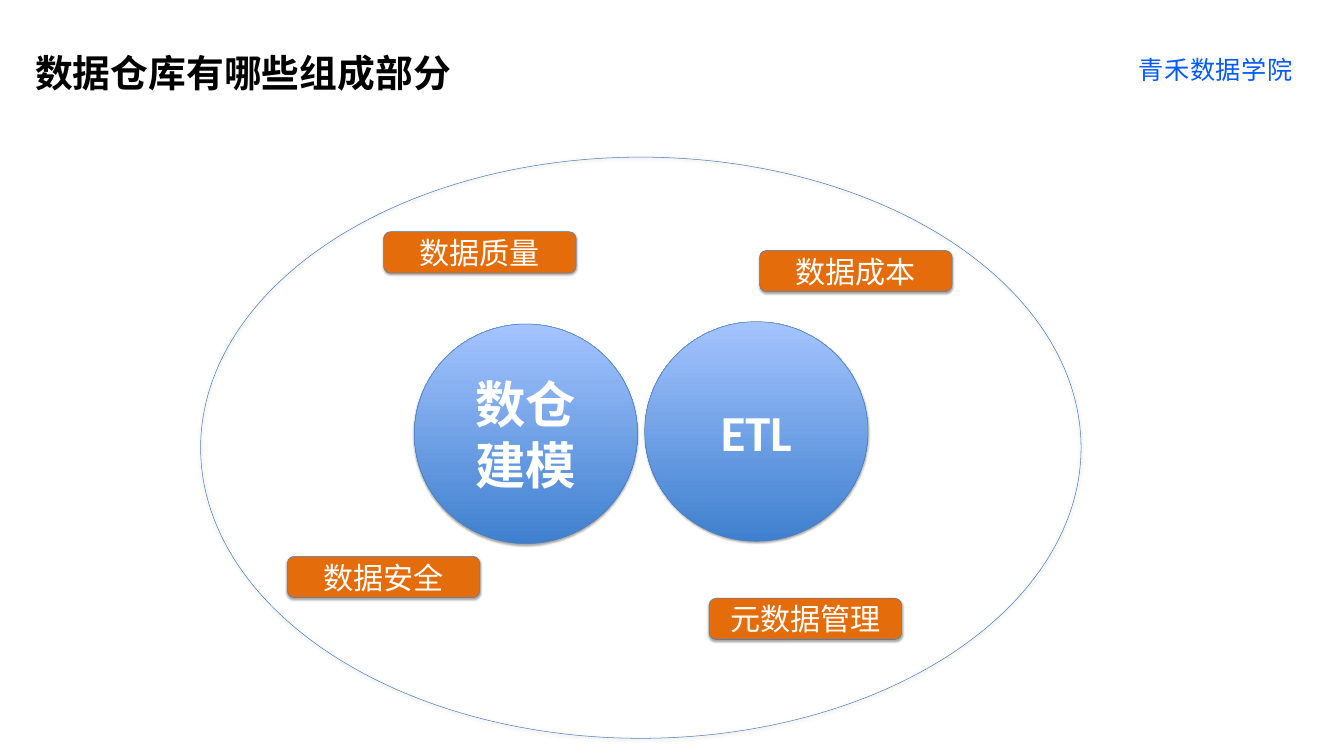
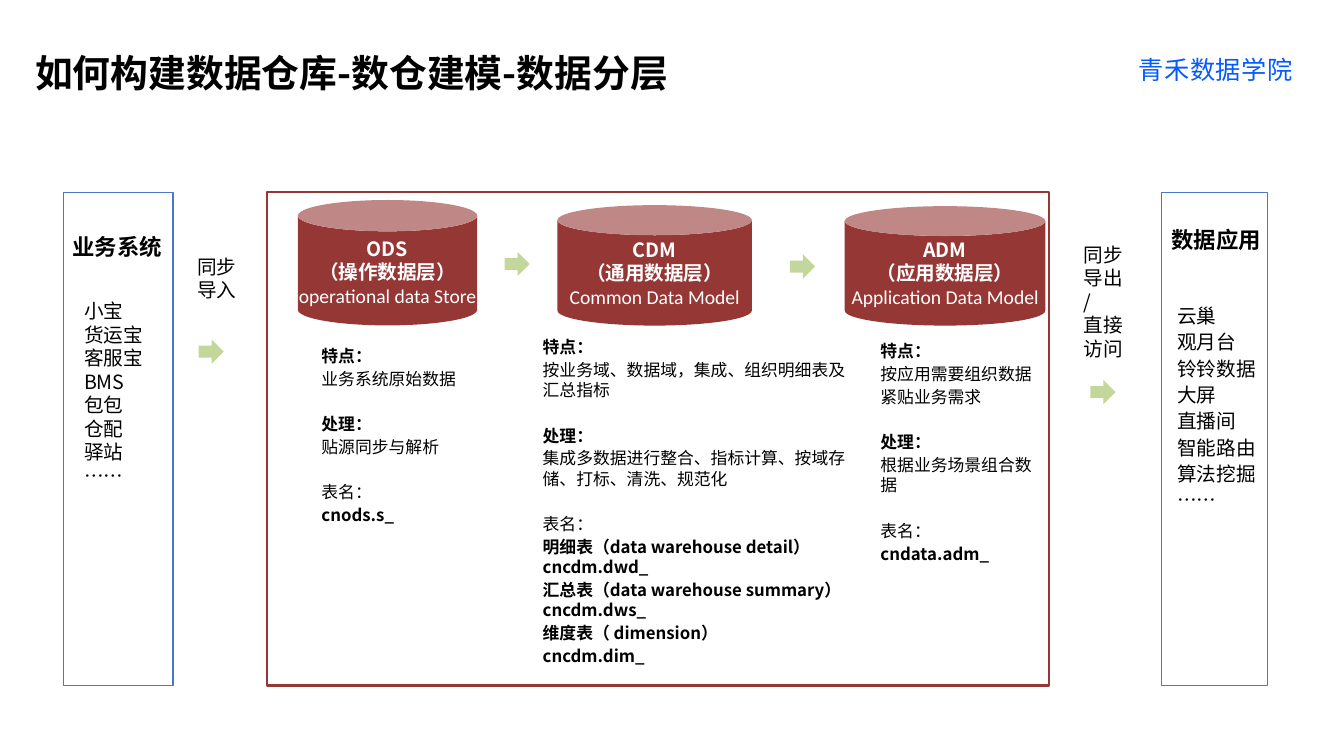
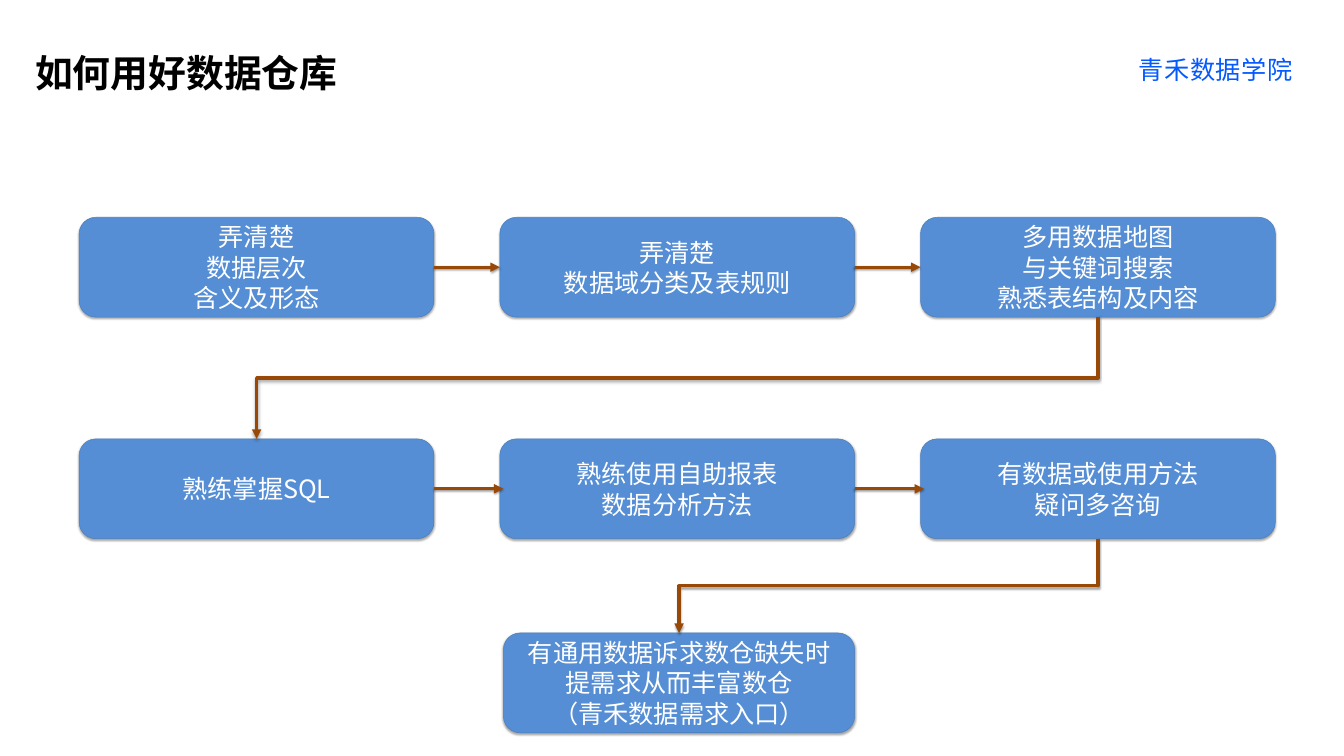
from lxml import etree
from pptx import Presentation
from pptx.dml.color import RGBColor
from pptx.enum.shapes import MSO_CONNECTOR, MSO_SHAPE
from pptx.enum.text import MSO_ANCHOR, PP_ALIGN
from pptx.oxml.ns import qn
from pptx.util import Cm, Pt

OVAL, ROUND, RECT = MSO_SHAPE.OVAL, MSO_SHAPE.ROUNDED_RECTANGLE, MSO_SHAPE.RECTANGLE
CAN, ARROW = MSO_SHAPE.CAN, MSO_SHAPE.UP_ARROW
STRAIGHT, ELBOW = MSO_CONNECTOR.STRAIGHT, MSO_CONNECTOR.ELBOW
TOP, MIDDLE, BOTTOM = MSO_ANCHOR.TOP, MSO_ANCHOR.MIDDLE, MSO_ANCHOR.BOTTOM
LEFT, CENTER = PP_ALIGN.LEFT, PP_ALIGN.CENTER

BLACK = RGBColor(0x00, 0x00, 0x00)
WHITE = RGBColor(0xFF, 0xFF, 0xFF)
BRAND = RGBColor(0x04, 0x59, 0xFF)
EDGE = RGBColor(0x4B, 0x7E, 0xBC)
SIDE = RGBColor(0x4B, 0x77, 0xCA)
DEEP = RGBColor(0x3F, 0x80, 0xCE)
PALE = RGBColor(0xA4, 0xC4, 0xFF)
STEP = RGBColor(0x55, 0x8E, 0xD5)
ORANGE = RGBColor(0xE4, 0x6C, 0x0A)
BROWN = RGBColor(0x98, 0x48, 0x07)
RED = RGBColor(0x95, 0x37, 0x35)
GREEN = RGBColor(0xC3, 0xD6, 0x9B)

SANS, LATIN = "Noto Sans CJK SC", "Calibri"
INSET = {"margin_left": 0.25, "margin_right": 0.25, "margin_top": 0.13, "margin_bottom": 0.13}
SECTION = {"bold": True, "before": 34}
PLAIN = {"bold": False}
STRONG = {"bold": True}

TAGS = [("数据质量", 9.22, 3.76), ("数据成本", 28.17, 4.7),
        ("数据安全", 4.37, 20.12), ("元数据管理", 25.63, 22.23)]
CORES = [("数仓建模", 10.77, 8.41), ("ETL", 22.38, 8.29)]

LAYERS = [
    (("ODS", "（操作数据层）", "operational data Store"), (1.55, 0.4, 9.04, 6.32),
     (2.49, 7.59, 7.47, 9.45),
     [("特点：", STRONG), ("业务系统原始数据", PLAIN),
      ("处理：", SECTION), ("贴源同步与解析", PLAIN),
      ("表名：", {"before": 34}), ("cnods.s_", STRONG)]),
    (("CDM", "（通用数据层）", "Common Data Model"), (14.63, 0.66, 9.8, 6.07),
     (13.64, 7.16, 15.98, 17.07),
     [("特点：", STRONG), ("按业务域、数据域，集成、组织明细表及汇总指标", PLAIN),
      ("处理：", SECTION), ("集成多数据进行整合、指标计算、按域存储、打标、清洗、规范化", PLAIN),
      ("表名：", {"before": 34}),
      ("明细表（data warehouse detail）cncdm.dwd_", STRONG),
      ("汇总表（data warehouse summary）cncdm.dws_", STRONG),
      ("维度表（ dimension）", STRONG), ("cncdm.dim_", STRONG)]),
    (("ADM", "（应用数据层）", "Application Data Model"), (29.11, 0.71, 10.11, 6.02),
     (30.66, 7.36, 8.74, 11.66),
     [("特点：", STRONG), ("按应用需要组织数据", PLAIN), ("紧贴业务需求", PLAIN),
      ("处理：", SECTION), ("根据业务场景组合数据", PLAIN),
      ("表名：", {"before": 34}), ("cndata.adm_", STRONG)]),
]
SOURCES = ["小宝", "货运宝", "客服宝", "BMS", "包包", "仓配", "驿站", "……"]
USES = ["云巢", "观月台", "铃铃数据", "大屏", "直播间", "智能路由", "算法挖掘", "……"]

STEPS = [
    [["弄清楚", "数据层次", "含义及形态"], ["弄清楚", "数据域分类及表规则"],
     ["多用数据地图", "与关键词搜索", "熟悉表结构及内容"]],
    [["熟练掌握SQL"], ["熟练使用自助报表", "数据分析方法"],
     ["有数据或使用方法", "疑问多咨询"]],
]
LAST = ["有通用数据诉求数仓缺失时", "提需求从而丰富数仓", "（青禾数据需求入口）"]


def place(box, part):
    """Move a part, given relative to a box, onto the slide."""
    return box[0] + part[0], box[1] + part[1], part[2], part[3]


def write(frame, lines, size, color=BLACK, face=SANS, bold=False, align=LEFT,
          gap=0, anchor=TOP, wrap=True, inset=INSET):
    """Fill a text frame with one paragraph per line."""
    frame.word_wrap, frame.vertical_anchor = wrap, anchor
    for name, value in inset.items():
        setattr(frame, name, Cm(value))
    for i, line in enumerate(lines):
        text, extra = (line, {}) if isinstance(line, str) else line
        para = frame.paragraphs[0] if i == 0 else frame.add_paragraph()
        layout = {"alignment": align, "line_spacing": Pt(1.2 * size),
                  "space_before": Pt(extra.get("before", gap)), "space_after": Pt(gap)}
        for name, value in layout.items():
            setattr(para, name, value)
        run = para.add_run()
        run.text = text
        look = {"size": Pt(size), "bold": extra.get("bold", bold),
                "name": extra.get("face", face)}
        for name, value in look.items():
            setattr(run.font, name, value)
        run.font.color.rgb = color
        etree.SubElement(run.font._element, qn("a:ea")).set("typeface", SANS)


def label(slide, box, lines, size, **style):
    """Add a text box."""
    shape = slide.shapes.add_textbox(*map(Cm, box))
    write(shape.text_frame, lines, size, **style)
    return shape


def shade(effects, alpha, dist):
    """Put a soft drop shadow in an effect list."""
    drop = etree.SubElement(effects, qn("a:outerShdw"), blurRad=str(Pt(3.1)),
                            dist=str(Pt(dist)), dir="5400000", rotWithShape="0")
    tone = etree.SubElement(drop, qn("a:srgbClr"), val="000000")
    etree.SubElement(tone, qn("a:alpha"), val=str(alpha * 1000))


def draw(slide, kind, box, fill=None, line=None, width=0.75, shadow=False):
    """Add a preset shape with a plain, graded or empty fill."""
    shape = slide.shapes.add_shape(kind, *map(Cm, box))
    shape.shadow.inherit = False
    if isinstance(fill, list):
        shape.fill.gradient()
        shape.fill.gradient_angle = 90
        for stop, color in zip(shape.fill.gradient_stops, fill):
            stop.color.rgb = color
    elif fill is None:
        shape.fill.background()
    else:
        shape.fill.solid()
        shape.fill.fore_color.rgb = fill
    if line is None:
        shape.line.fill.background()
    else:
        shape.line.color.rgb, shape.line.width = line, Pt(width)
    if shadow:
        shade(shape.element.spPr.find(qn("a:effectLst")), 35, 1.8)
    return shape


def link(slide, x1, y1, x2, y2):
    """Add an arrow: straight along a row, bent between rows."""
    kind, bent = STRAIGHT, y1 != y2
    if bent:
        kind, mx, my = ELBOW, (x1 + x2) / 2, (y1 + y2) / 2
        dx, dy = abs(x2 - x1) / 2, (y2 - y1) / 2
        x1, y1, x2, y2 = mx - dy, my - dx, mx + dy, my + dx
    line = slide.shapes.add_connector(kind, *map(Cm, (x1, y1, x2, y2)))
    line.line.color.rgb, line.line.width = BROWN, Pt(4.5)
    props = line.element.spPr
    if bent:
        props.find(qn("a:xfrm")).set("rot", "5400000")
    etree.SubElement(props.find(qn("a:ln")), qn("a:tailEnd"), type="triangle")
    shade(etree.SubElement(props, qn("a:effectLst")), 38, 1.6)


def start(deck, title, width):
    """Add a slide with the shared brand line and title."""
    slide = deck.slides.add_slide(deck.slide_layouts[6])
    brand = label(slide, (57.23, 2.46, 8.13, 2.08), ["青禾数据学院"], 36, color=BRAND,
                  anchor=MIDDLE, wrap=False, inset=dict.fromkeys(INSET, 0.15))
    brand.text_frame.paragraphs[0].runs[0].font._element.set("spc", "80")
    label(slide, (1.52, 2.39, width, 2.57), [title], 54, bold=True)
    return slide


def parts(slide, box):
    """Draw the warehouse oval with its cores and tags."""
    draw(slide, OVAL, box, line=EDGE, shadow=True)
    for text, x, y in CORES:
        core = draw(slide, OVAL, place(box, (x, y, 11.25, 11.07)), [DEEP, PALE], EDGE, shadow=True)
        write(core.text_frame, [text], 72, WHITE, LATIN, True, CENTER, anchor=MIDDLE)
    for text, x, y in TAGS:
        tag = draw(slide, ROUND, place(box, (x, y, 9.7, 2.08)), ORANGE, EDGE, shadow=True)
        write(tag.text_frame, [text], 43, WHITE, LATIN, align=CENTER, anchor=MIDDLE)


def arrow(slide, x, y):
    """Add a small arrow that points right."""
    draw(slide, ARROW, (x, y, 1.22, 1.27), GREEN).rotation = 90


def layers(slide, box):
    """Draw the framed data layers with their notes."""
    draw(slide, RECT, box, line=RED, width=3)
    for (code, name, full), drum, area, notes in LAYERS:
        can = draw(slide, CAN, place(box, drum), RED)
        write(can.text_frame, [code, name, (full, {"bold": False, "face": LATIN})], 28, WHITE,
              bold=True, align=CENTER, anchor=BOTTOM,
              inset={**INSET, "margin_left": 0, "margin_right": 0})
        label(slide, place(box, area), notes, 24, gap=2)
    for x, y in ((11.99, 2.99), (26.37, 3.12)):
        arrow(slide, box[0] + x, box[1] + y)


def side(slide, box, head, spot, items, area, gap):
    """Draw a side column with its heading and list."""
    draw(slide, RECT, box, line=SIDE, width=1.5)
    label(slide, place(box, spot), [head], 32, bold=True, align=CENTER)
    label(slide, place(box, area), items, 28, gap=gap)


def sync(slide, box, lines, x, y):
    """Add a transfer note with an arrow below it."""
    label(slide, box, lines, 28)
    arrow(slide, box[0] + x, box[1] + y)


def step(slide, box, lines):
    """Add one step of the flow."""
    shape = draw(slide, ROUND, box, STEP, EDGE, shadow=True)
    write(shape.text_frame, lines, 36, WHITE, align=CENTER, anchor=MIDDLE)


def flow(slide, box):
    """Draw two rows of steps, the last step and the arrows."""
    left, top, wide, high = box
    pitch, drop, tall = (wide - 17.88) / 2, 11.17, 5.03
    for row, cells in enumerate(STEPS):
        y = top + row * drop
        for col, lines in enumerate(cells):
            step(slide, (left + col * pitch, y, 17.88, tall), lines)
    end = left + 21.38, top + high - tall, 17.7, tall
    step(slide, end, LAST)
    for row in range(2):
        y = top + row * drop + tall / 2
        for col in range(2):
            x = left + col * pitch
            link(slide, x + 17.88, y, x + pitch + row * 0.18, y)
    mid = left + 8.94
    link(slide, mid + 2 * pitch, top + tall, mid, top + drop)
    link(slide, mid + 2 * pitch, top + drop + tall, end[0] + end[2] / 2, end[1])


def main():
    """Build the three slides."""
    deck = Presentation()
    deck.slide_width, deck.slide_height = Cm(67.73), Cm(38.1)
    parts(start(deck, "数据仓库有哪些组成部分", 21.67), (10.11, 7.92, 44.37, 29.29))

    slide = start(deck, "如何构建数据仓库-数仓建模-数据分层", 32.97)
    layers(slide, (13.46, 9.68, 39.4, 24.87))
    side(slide, (3.18, 9.68, 5.54, 24.87), "业务系统", (-0.03, 1.93, 5.51, 1.63),
         SOURCES, (0.81, 5.26, 3.79, 9.83), 0)
    side(slide, (58.55, 9.68, 5.31, 24.87), "数据应用", (-0.08, 1.57, 5.64, 1.63),
         USES, (0.53, 5.51, 5, 10.82), 2)
    sync(slide, (9.68, 12.7, 2.54, 2.64), ["同步", "导入"], 0.35, 4.39)
    sync(slide, (54.36, 12.09, 3.15, 6.25), ["同步导出", "/", "直接访问"], 0.61, 7.04)

    flow(start(deck, "如何用好数据仓库", 15.9), (3.99, 10.95, 60.28, 25.98))
    deck.save("out.pptx")


if __name__ == "__main__":
    main()
